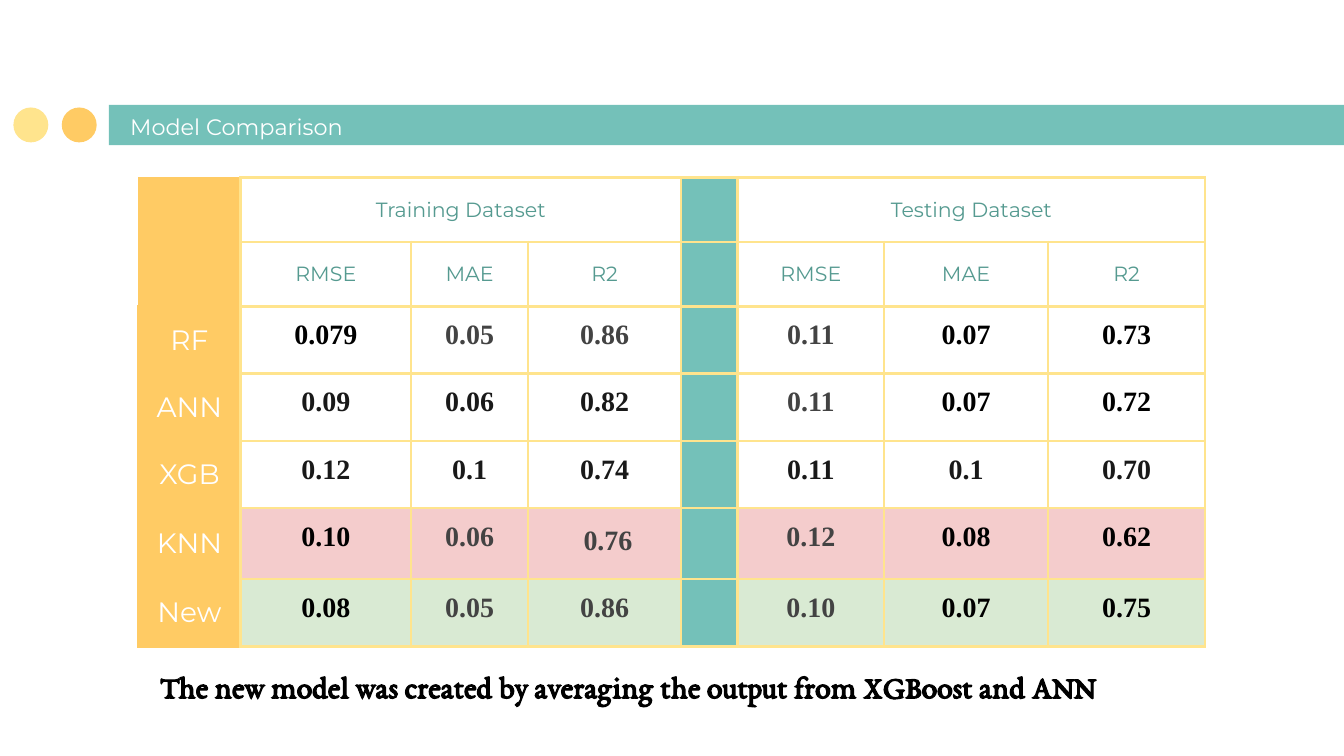
from dataclasses import dataclass
from typing import Optional

from lxml import etree
from pptx import Presentation
from pptx import util as u
from pptx.dml.color import RGBColor
from pptx.enum import shapes, text
from pptx.oxml import ns

WHITE = RGBColor(0xFF, 0xFF, 0xFF)
BLACK = RGBColor(0x00, 0x00, 0x00)
INK = RGBColor(0x19, 0x19, 0x19)
GREY = RGBColor(0x43, 0x43, 0x43)
TEAL = RGBColor(0x74, 0xC1, 0xB9)
DEEP_TEAL = RGBColor(0x55, 0x9A, 0x90)
AMBER = RGBColor(0xFF, 0xCB, 0x64)
YELLOW = RGBColor(0xFF, 0xE4, 0x8D)
PINK = RGBColor(0xF4, 0xCC, 0xCC)
GREEN = RGBColor(0xD9, 0xEA, 0xD3)

SANS = "Montserrat"
SERIF = "Times New Roman"
PAD = u.Inches(0.1)
COLS = [0.76, 1.27, 0.87, 1.14, 0.42, 1.09, 1.22, 1.17]
ROWS = [0.48, 0.48, 0.5, 0.5, 0.5, 0.53, 0.5]
GAP_COL = 4
METRICS = ["RMSE", "MAE", "R2"]
VALUE_COLS = [1, 2, 3, 5, 6, 7]
MIXED = [BLACK, GREY, GREY, GREY, BLACK, BLACK]


@dataclass
class Block:
    kind: shapes.MSO_SHAPE
    left: float
    top: float
    width: float
    height: float
    color: RGBColor


@dataclass
class Style:
    font: str
    size: float
    color: RGBColor
    bold: bool = False


@dataclass
class Model:
    name: str
    scores: list[str]
    colors: list[RGBColor]
    fill: Optional[RGBColor] = None


BLOCKS = [
    Block(shapes.MSO_SHAPE.RECTANGLE, 0.81, 0.78, 9.19, 0.3, TEAL),
    Block(shapes.MSO_SHAPE.OVAL, 0.46, 0.8, 0.26, 0.26, AMBER),
    Block(shapes.MSO_SHAPE.OVAL, 0.1, 0.8, 0.26, 0.26, YELLOW),
]
MODELS = [
    Model("RF", ["0.079", "0.05", "0.86", "0.11", "0.07", "0.73"], MIXED),
    Model("ANN", ["0.09", "0.06", "0.82", "0.11", "0.07", "0.72"],
          [INK, INK, INK, GREY, BLACK, BLACK]),
    Model("XGB", ["0.12", "0.1", "0.74", "0.11", "0.1", "0.70"], [INK] * 6),
    Model("KNN", ["0.10", "0.06", "0.76", "0.12", "0.08", "0.62"], MIXED, PINK),
    Model("New", ["0.08", "0.05", "0.86", "0.10", "0.07", "0.75"], MIXED, GREEN),
]
HEADER = Style(SANS, 11, DEEP_TEAL)
LABEL = Style(SANS, 15, WHITE)


def format_run(p, style: Style) -> None:
    f = p.runs[0].font
    f.name, f.size, f.bold = style.font, u.Pt(style.size), style.bold
    f.color.rgb = style.color


def add_block(s, block: Block) -> None:
    sp = s.shapes.add_shape(block.kind, u.Inches(block.left), u.Inches(block.top),
                            u.Inches(block.width), u.Inches(block.height))
    sp.shadow.inherit = False
    sp.fill.solid()
    sp.fill.fore_color.rgb = block.color
    sp.line.fill.background()


def add_text(s, words: str, left: float, top: float, width: float, height: float,
             style: Style, anchor: text.MSO_ANCHOR) -> None:
    sp = s.shapes.add_textbox(u.Inches(left), u.Inches(top),
                              u.Inches(width), u.Inches(height))
    tf = sp.text_frame
    tf.word_wrap = True
    tf.vertical_anchor = anchor
    tf.margin_left = tf.margin_right = tf.margin_top = tf.margin_bottom = PAD
    tf.text = words
    format_run(tf.paragraphs[0], style)


def set_border(cell, side: str, color: Optional[RGBColor]) -> None:
    ln = etree.SubElement(cell._tc.get_or_add_tcPr(), ns.qn(f"a:ln{side}"),
                          w=str(u.Pt(1.5)))
    if color is None:
        etree.SubElement(ln, ns.qn("a:noFill"))
    else:
        fill = etree.SubElement(ln, ns.qn("a:solidFill"))
        etree.SubElement(fill, ns.qn("a:srgbClr"), val=str(color))


def paint_cell(cell, row: int, col: int) -> None:
    borders = dict.fromkeys("LRTB", YELLOW)
    color = MODELS[row - 2].fill if row >= 2 else None
    if col == 0:
        borders = {"L": AMBER if row >= 2 else None, "R": YELLOW,
                   "T": AMBER if row else None, "B": AMBER}
        color = AMBER
    elif col == GAP_COL:
        color = TEAL
    for side, line in borders.items():
        set_border(cell, side, line)
    if color is None:
        cell.fill.background()
    else:
        cell.fill.solid()
        cell.fill.fore_color.rgb = color
    cell.margin_left = cell.margin_right = cell.margin_top = cell.margin_bottom = 0


def write_cell(cell, words: str, style: Style,
               anchor: text.MSO_ANCHOR = text.MSO_ANCHOR.MIDDLE) -> None:
    cell.margin_left = cell.margin_right = cell.margin_top = cell.margin_bottom = PAD
    cell.vertical_anchor = anchor
    p = cell.text_frame.paragraphs[0]
    p.text = words
    p.alignment = text.PP_ALIGN.CENTER
    format_run(p, style)


def add_scores(s) -> None:
    frame = s.shapes.add_table(len(ROWS), len(COLS), u.Inches(1.03), u.Inches(1.32),
                               u.Inches(sum(COLS)), u.Inches(sum(ROWS)))
    table = frame.table
    table.first_row = table.horz_banding = False
    for column, width in zip(table.columns, COLS):
        column.width = u.Inches(width)
    for r, height in enumerate(ROWS):
        table.rows[r].height = u.Inches(height)
        for c in range(len(COLS)):
            paint_cell(table.cell(r, c), r, c)

    for first, title in [(1, "Training Dataset"), (5, "Testing Dataset")]:
        table.cell(0, first).merge(table.cell(0, first + 2))
        write_cell(table.cell(0, first), title, HEADER)
    for c, metric in zip(VALUE_COLS, METRICS * 2):
        write_cell(table.cell(1, c), metric, HEADER)
    for r, model in enumerate(MODELS, start=2):
        write_cell(table.cell(r, 0), model.name, LABEL)
        for c, score, color in zip(VALUE_COLS, model.scores, model.colors):
            write_cell(table.cell(r, c), score, Style(SERIF, 15, color, True),
                       text.MSO_ANCHOR.TOP)

    shifted = table.cell(5, 3)
    shifted.margin_left = u.Inches(0.15)
    shifted.text_frame.paragraphs[0].line_spacing = 1.15


def main() -> None:
    prs = Presentation()
    prs.slide_width = u.Inches(10)
    prs.slide_height = prs.slide_width * 9 // 16
    s = prs.slides.add_slide(prs.slide_layouts[6])
    for block in BLOCKS:
        add_block(s, block)
    add_text(s, "Model Comparison", 0.87, 0.8, 5.48, 0.34,
             Style(SANS, 12, WHITE), text.MSO_ANCHOR.BOTTOM)
    add_scores(s)
    add_text(s, "The new model was created by averaging the output from XGBoost and ANN",
             1.09, 4.86, 7.88, 0.49, Style("EB Garamond", 17, BLACK, True),
             text.MSO_ANCHOR.TOP)
    prs.save("out.pptx")


if __name__ == "__main__":
    main()
